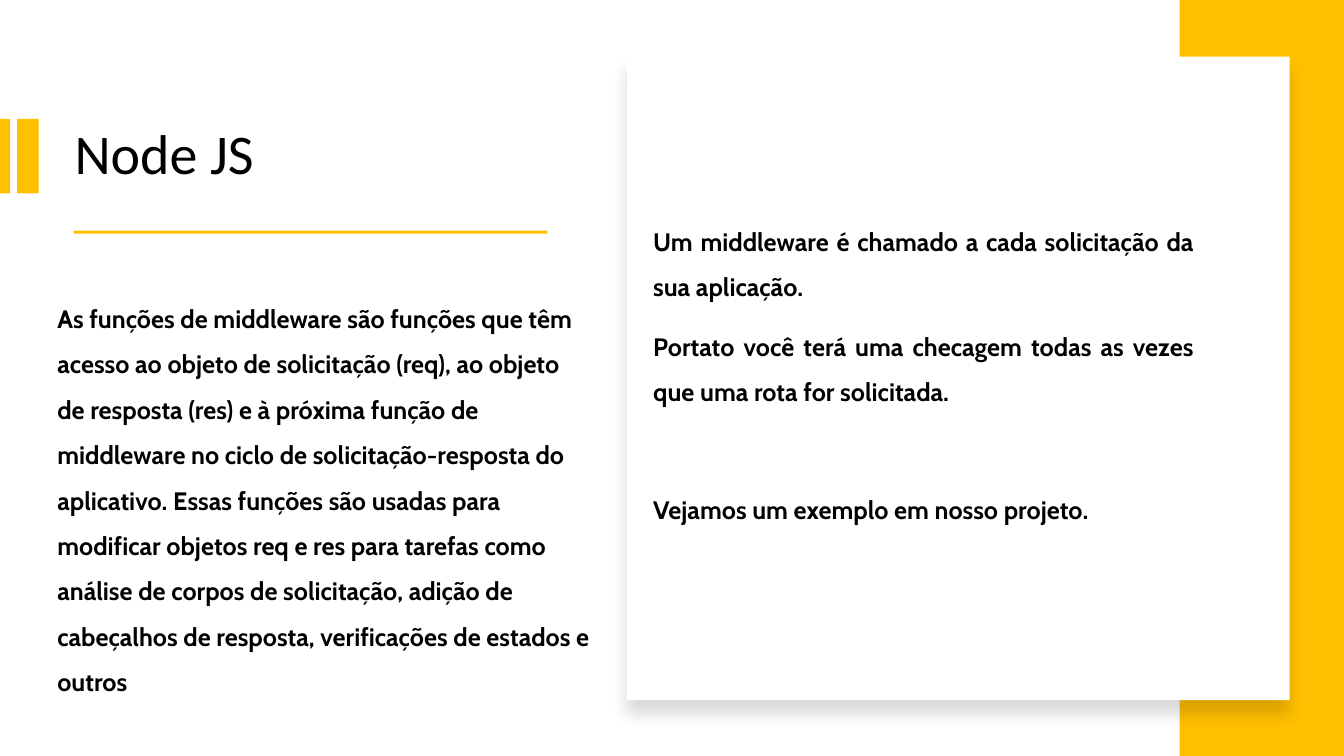
from dataclasses import dataclass

from lxml import etree
from pptx import Presentation
from pptx.dml.color import RGBColor
from pptx.enum.shapes import MSO_SHAPE
from pptx.enum.text import MSO_ANCHOR, MSO_AUTO_SIZE, PP_ALIGN
from pptx.oxml.ns import qn
from pptx.shapes.base import BaseShape
from pptx.slide import Slide
from pptx.text.text import TextFrame
from pptx.util import Inches, Pt

RECT = MSO_SHAPE.RECTANGLE
MIDDLE = MSO_ANCHOR.MIDDLE
NO_FIT = MSO_AUTO_SIZE.NONE
LEFT, JUSTIFY = PP_ALIGN.LEFT, PP_ALIGN.JUSTIFY

GOLD = RGBColor(0xFF, 0xC0, 0x00)
WHITE = RGBColor(0xFF, 0xFF, 0xFF)
BLACK = RGBColor(0x00, 0x00, 0x00)

WIDTH, HEIGHT = Inches(13.33), Inches(7.5)
TITLE_ONLY = 5


@dataclass(frozen=True)
class Box:
    """A place on the slide, in percent of its width and height."""
    left: float
    top: float
    width: float
    height: float

    def emu(self) -> tuple[int, int, int, int]:
        return (int(self.left * WIDTH / 100), int(self.top * HEIGHT / 100),
                int(self.width * WIDTH / 100), int(self.height * HEIGHT / 100))


@dataclass(frozen=True)
class Panel:
    box: Box
    fill: RGBColor = GOLD
    raised: bool = False


@dataclass(frozen=True)
class Para:
    text: str
    size: int = 18
    font: str = "Cabin"
    bold: bool = True
    align: PP_ALIGN = LEFT
    line: float = 1.5
    before: int = 0


@dataclass(frozen=True)
class Block:
    box: Box
    paras: tuple[Para, ...]


PANELS = (
    Panel(Box(0, 15.73, 0.75, 9.87)),
    Panel(Box(1.28, 15.73, 1.6, 9.87)),
    Panel(Box(5.48, 30.5, 35.25, 0.4)),
    Panel(Box(87.77, 0, 12.23, 100)),
    Panel(Box(46.66, 7.5, 49.29, 85.1), WHITE, raised=True),
)

TITLE = Block(Box(4.8, 12.5, 37.4, 16.4), (
    Para("Node JS", 40, "Calibri", bold=False, line=0.9),
))

BLOCKS = (
    Block(Box(3.53, 32.4, 41.26, 65.47), (
        Para("As funções de middleware são funções que têm acesso ao objeto "
             "de solicitação (req), ao objeto de resposta (res) e à próxima "
             "função de middleware no ciclo de solicitação-resposta do "
             "aplicativo. Essas funções são usadas para modificar objetos "
             "req e res para tarefas como análise de corpos de solicitação, "
             "adição de cabeçalhos de resposta, verificações de estados "
             "e outros"),
    )),
    Block(Box(47.86, 7.5, 41.7, 82.3), (
        Para("Um middleware é chamado a cada solicitação da sua aplicação.",
             align=JUSTIFY),
        Para("Portato você terá uma checagem todas as vezes que uma rota "
             "for solicitada.", align=JUSTIFY, before=10),
        Para("Vejamos um exemplo em nosso projeto.",
             align=JUSTIFY, before=52),
    )),
)


def cast_shadow(shape: BaseShape) -> None:
    """Give the shape a soft shadow straight below it."""
    effects = shape._element.spPr.find(qn("a:effectLst"))
    outer = etree.SubElement(
        effects, qn("a:outerShdw"), blurRad=str(Pt(11)), dist=str(Pt(10)),
        dir="5400000", algn="t", rotWithShape="0")
    tint = etree.SubElement(outer, qn("a:srgbClr"), val=str(BLACK))
    etree.SubElement(tint, qn("a:alpha"), val="15000")


def draw_panel(slide: Slide, panel: Panel) -> None:
    shape = slide.shapes.add_shape(RECT, *panel.box.emu())
    shape.fill.solid()
    shape.fill.fore_color.rgb = panel.fill
    shape.line.fill.background()
    shape.shadow.inherit = False
    if panel.raised:
        cast_shadow(shape)


def write_text(frame: TextFrame, paras: tuple[Para, ...]) -> None:
    frame.word_wrap = True
    frame.auto_size = NO_FIT
    frame.vertical_anchor = MIDDLE
    for i, para in enumerate(paras):
        line = frame.add_paragraph() if i else frame.paragraphs[0]
        line.alignment = para.align
        line.line_spacing = para.line
        line.space_before = Pt(para.before)
        run = line.add_run()
        run.text = para.text
        run.font.name = para.font
        run.font.size = Pt(para.size)
        run.font.bold = para.bold
        run.font.color.rgb = BLACK


def set_title(slide: Slide, block: Block) -> None:
    title = slide.shapes.title
    title.left, title.top, title.width, title.height = block.box.emu()
    write_text(title.text_frame, block.paras)


def draw_block(slide: Slide, block: Block) -> None:
    frame = slide.shapes.add_textbox(*block.box.emu()).text_frame
    write_text(frame, block.paras)


def main() -> None:
    deck = Presentation()
    deck.slide_width, deck.slide_height = WIDTH, HEIGHT
    slide = deck.slides.add_slide(deck.slide_layouts[TITLE_ONLY])
    set_title(slide, TITLE)
    for panel in PANELS:
        draw_panel(slide, panel)
    for block in BLOCKS:
        draw_block(slide, block)
    deck.save("out.pptx")


if __name__ == "__main__":
    main()
